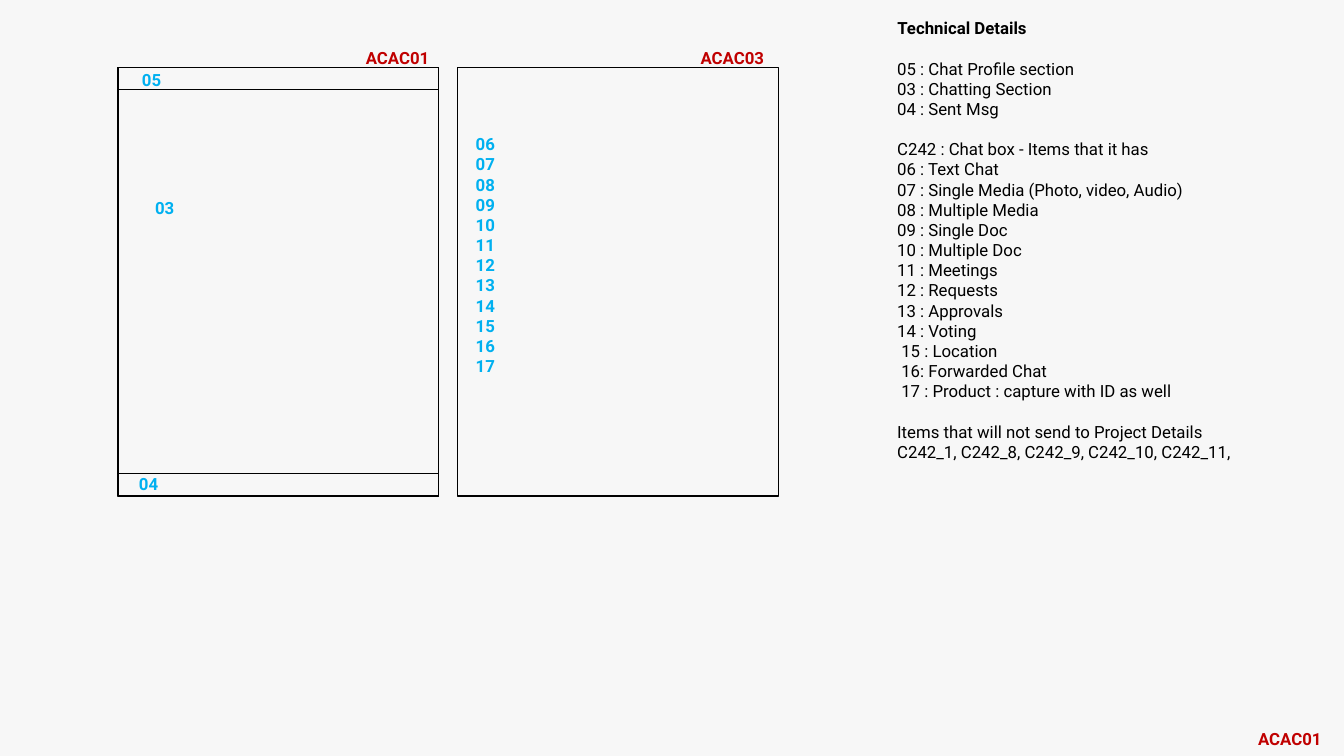
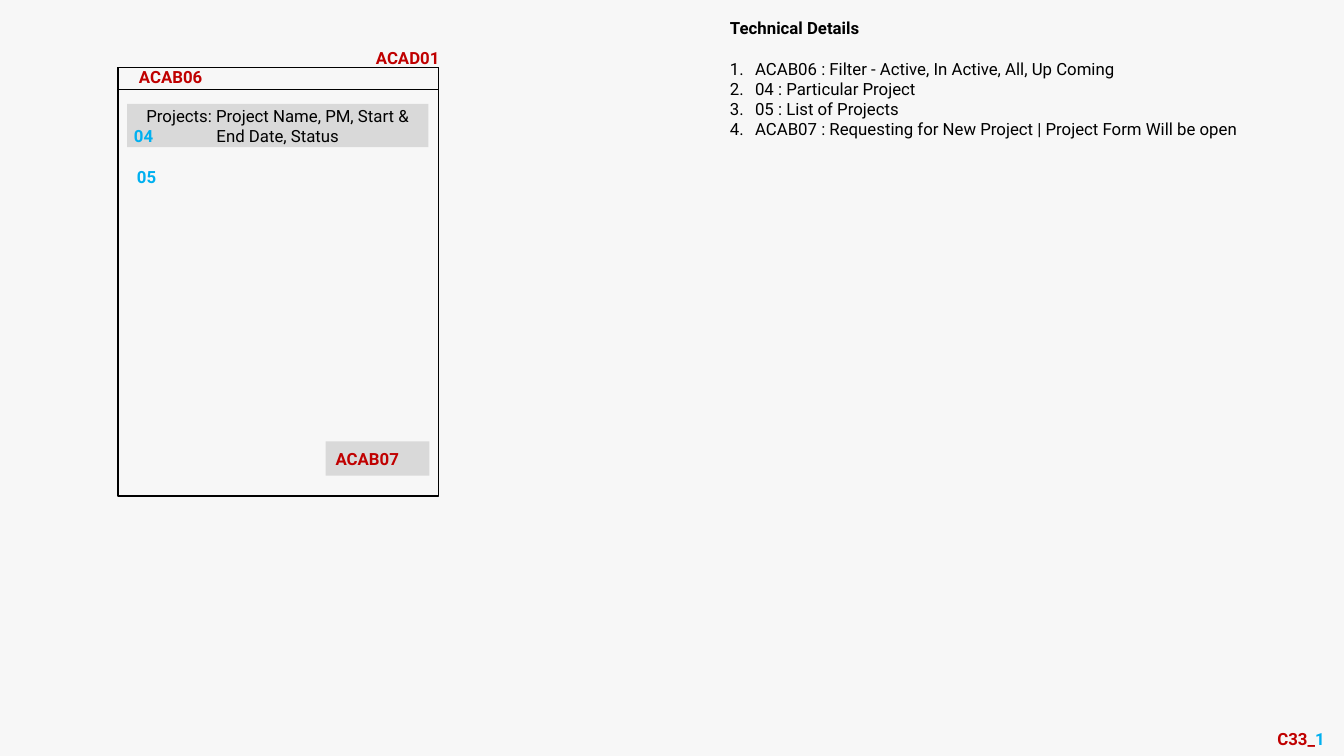
from dataclasses import dataclass

from lxml.etree import SubElement
from pptx import Presentation
from pptx.dml.color import RGBColor
from pptx.enum.shapes import MSO_SHAPE
from pptx.enum.text import MSO_ANCHOR, MSO_AUTO_SIZE, PP_ALIGN
from pptx.oxml.ns import qn
from pptx.util import Inches, Pt


@dataclass(frozen=True)
class Theme:
    font: str = "Roboto"
    size: Pt = Pt(12)
    group_gap: Pt = Pt(14.4)
    outline: Pt = Pt(1)
    background: RGBColor = RGBColor(0xF7, 0xF7, 0xF7)
    ink: RGBColor = RGBColor(0, 0, 0)
    screen_code: RGBColor = RGBColor(0xC0, 0, 0)
    item_code: RGBColor = RGBColor(0, 0xB0, 0xF0)
    panel: RGBColor = RGBColor(0xD9, 0xD9, 0xD9)


THEME = Theme()
SLIDE_WIDTH, SLIDE_HEIGHT = 13.33, 7.5
SCREEN_TOP, SCREEN_WIDTH, SCREEN_HEIGHT = 0.67, 3.18, 4.25
FIRST_SCREEN, SECOND_SCREEN = 1.17, 4.54
BAR_HEIGHT = 0.22
CAPTION_TOP = 0.42
LABEL_WIDTH, LINE_BOX_HEIGHT = 0.95, 0.3
NOTES_TOP, NOTES_BODY_TOP = 0.13, 0.53

CHAT_NOTES = [
    ["05 : Chat Profile section", "03 : Chatting Section", "04 : Sent Msg"],
    [
        "C242 : Chat box - Items that it has",
        "06 : Text Chat",
        "07 : Single Media (Photo, video, Audio)",
        "08 : Multiple Media",
        "09 : Single Doc",
        "10 : Multiple Doc",
        "11 : Meetings",
        "12 : Requests",
        "13 : Approvals",
        "14 : Voting",
        " 15 : Location",
        " 16: Forwarded Chat",
        " 17 : Product : capture with ID as well",
    ],
    [
        "Items that will not send to Project Details",
        "C242_1, C242_8, C242_9, C242_10, C242_11,",
    ],
]
PROJECT_NOTES = [[
    "ACAB06 : Filter - Active, In Active, All, Up Coming",
    "04 : Particular Project",
    "05 : List of Projects",
    "ACAB07 : Requesting for New Project | Project Form Will be open",
]]


def inches(*lengths):
    return [Inches(length) for length in lengths]


def style(span, color, bold=False):
    font = span.font
    font.name, font.size, font.bold = THEME.font, THEME.size, bold
    font.color.rgb = color


def style_all(frame, color, bold=False):
    for para in frame.paragraphs:
        for span in para.runs:
            style(span, color, bold)


def add_box(slide, left, top, width, height, fill=None):
    """Add a filled panel, or an outlined frame when there is no fill."""
    box = slide.shapes.add_shape(
        MSO_SHAPE.RECTANGLE, *inches(left, top, width, height))
    box.shadow.inherit = False
    if fill is None:
        box.fill.background()
        box.line.color.rgb = THEME.ink
        box.line.width = THEME.outline
    else:
        box.fill.solid()
        box.fill.fore_color.rgb = fill
        box.line.fill.background()
    return box


def add_screen(slide, left):
    add_box(slide, left, SCREEN_TOP, SCREEN_WIDTH, SCREEN_HEIGHT)


def add_bar(slide, top):
    add_box(slide, FIRST_SCREEN, top, SCREEN_WIDTH, BAR_HEIGHT)


def add_text(slide, left, top, width, height, text):
    box = slide.shapes.add_textbox(*inches(left, top, width, height))
    frame = box.text_frame
    frame.word_wrap = True
    frame.text = text
    return frame


def add_label(slide, text, left, top, color, height=LINE_BOX_HEIGHT):
    frame = add_text(slide, left, top, LABEL_WIDTH, height, text)
    style_all(frame, color, bold=True)
    return frame


def number(para):
    """Turn a paragraph into an item of a numbered list."""
    properties = para._p.get_or_add_pPr()
    properties.set("marL", str(Inches(0.25)))
    properties.set("indent", str(-Inches(0.25)))
    SubElement(properties, qn("a:buAutoNum"), type="arabicPeriod")


def add_notes(slide, left, groups, numbered=False):
    """Fill the title and list the note groups, spaced apart, below it."""
    width = SLIDE_WIDTH - 0.1 - left
    title = slide.shapes.title
    title.left, title.top, title.width, title.height = inches(
        left, NOTES_TOP, width, LINE_BOX_HEIGHT)
    frame = title.text_frame
    frame.text = "Technical Details"
    frame.auto_size = MSO_AUTO_SIZE.NONE
    frame.vertical_anchor = MSO_ANCHOR.TOP
    frame.paragraphs[0].alignment = PP_ALIGN.LEFT
    style_all(frame, THEME.ink, bold=True)

    lines = [line for group in groups for line in group]
    height = 0.1 + 0.2 * (len(lines) + len(groups) - 1)
    body = add_text(slide, left, NOTES_BODY_TOP, width, height,
                    "\n".join(lines))
    style_all(body, THEME.ink)
    start = 0
    for group in groups[:-1]:
        start += len(group)
        body.paragraphs[start].space_before = THEME.group_gap
    if numbered:
        for para in body.paragraphs:
            number(para)


def add_slide(deck):
    return deck.slides.add_slide(deck.slide_layouts.get_by_name("Title Only"))


def build_chat(deck):
    slide = add_slide(deck)
    add_notes(slide, 8.8, CHAT_NOTES)
    for left in (FIRST_SCREEN, SECOND_SCREEN):
        add_screen(slide, left)
    for top in (SCREEN_TOP, SCREEN_TOP + SCREEN_HEIGHT - BAR_HEIGHT):
        add_bar(slide, top)
    for code, left, top in (("ACAC01", 3.53, CAPTION_TOP),
                            ("ACAC03", 6.85, CAPTION_TOP),
                            ("ACAC01", 12.38, 7.18)):
        add_label(slide, code, left, top, THEME.screen_code)
    for code, left, top in (("05", 1.31, 0.64), ("03", 1.44, 1.91),
                            ("04", 1.28, 4.65)):
        add_label(slide, code, left, top, THEME.item_code)
    chat_items = "\n".join(f"{item:02}" for item in range(6, 18))
    add_label(slide, chat_items, 4.62, 1.28, THEME.item_code, height=2.5)


def build_projects(deck):
    slide = add_slide(deck)
    add_notes(slide, 7.14, PROJECT_NOTES, numbered=True)
    add_screen(slide, FIRST_SCREEN)
    add_bar(slide, SCREEN_TOP)
    project = add_box(slide, 1.26, 1.03, 2.99, 0.43, THEME.panel).text_frame
    project.text = "Projects: Project Name, PM, Start & End Date, Status"
    project.word_wrap = True
    project.vertical_anchor = MSO_ANCHOR.MIDDLE
    project.paragraphs[0].alignment = PP_ALIGN.CENTER
    style_all(project, THEME.ink)
    add_box(slide, 3.23, 4.38, 1.03, 0.34, THEME.panel)
    for code, left, top in (("ACAD01", 3.63, CAPTION_TOP),
                            ("ACAB06", 1.28, 0.61), ("ACAB07", 3.23, 4.4)):
        add_label(slide, code, left, top, THEME.screen_code)
    for code, left, top in (("04", 1.23, 1.2), ("05", 1.26, 1.61)):
        add_label(slide, code, left, top, THEME.item_code)
    footer = add_label(slide, "C33_", 12.57, 7.18, THEME.screen_code)
    suffix = footer.paragraphs[0].add_run()
    suffix.text = "1"
    style(suffix, THEME.item_code, bold=True)


def main():
    deck = Presentation()
    deck.slide_width, deck.slide_height = inches(SLIDE_WIDTH, SLIDE_HEIGHT)
    background = deck.slide_master.background.fill
    background.solid()
    background.fore_color.rgb = THEME.background
    build_chat(deck)
    build_projects(deck)
    deck.save("out.pptx")


if __name__ == "__main__":
    main()
